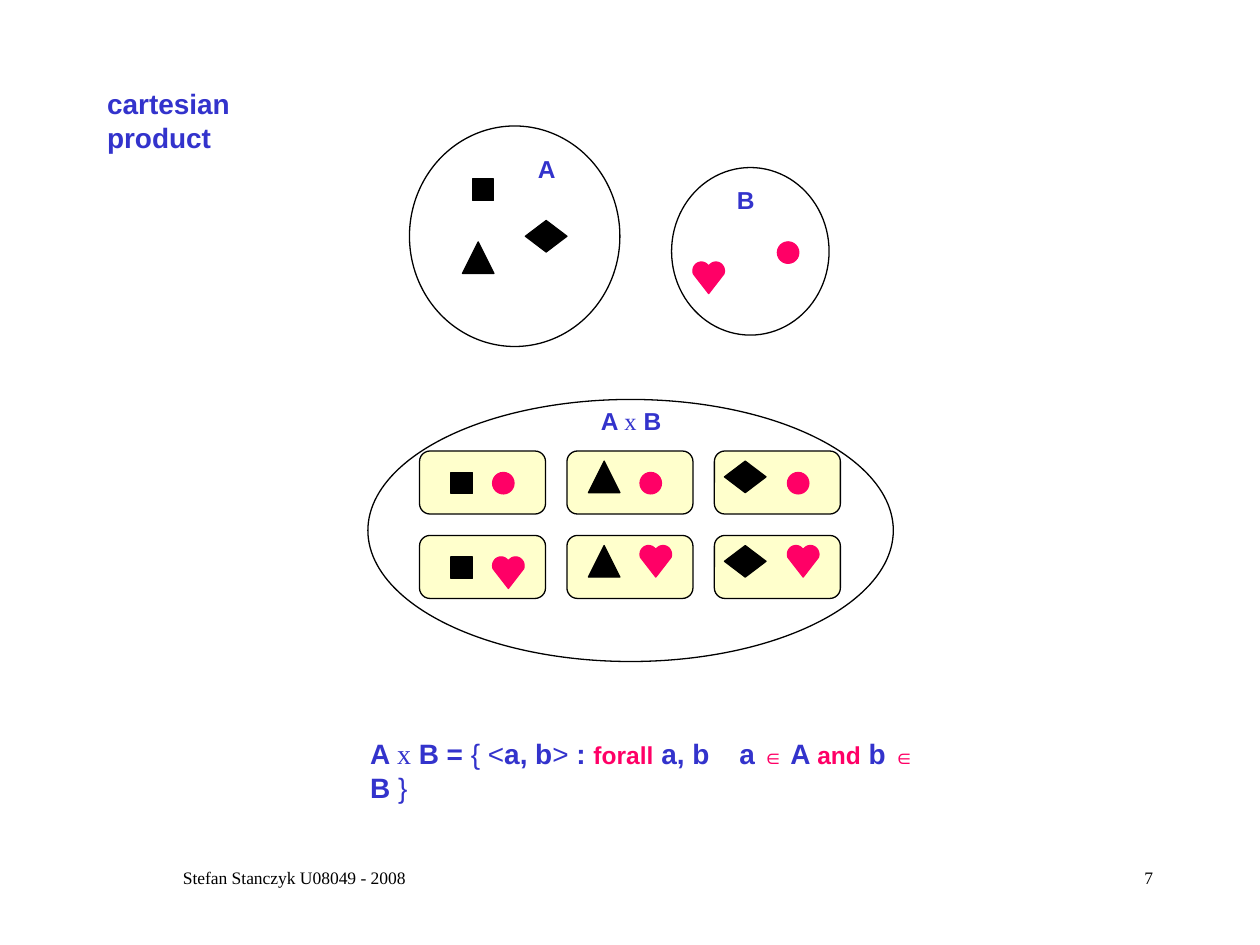
import math

from pptx import Presentation
from pptx.dml.color import RGBColor
from pptx.enum.shapes import MSO_SHAPE
from pptx.enum.text import MSO_ANCHOR, MSO_AUTO_SIZE, PP_ALIGN
from pptx.oxml.ns import qn
from pptx.util import Inches, Pt
from lxml import etree

TOP = MSO_ANCHOR.TOP
NO_FIT = MSO_AUTO_SIZE.NONE
LEFT, CENTER, RIGHT = PP_ALIGN.LEFT, PP_ALIGN.CENTER, PP_ALIGN.RIGHT
OVAL, ROUNDED = MSO_SHAPE.OVAL, MSO_SHAPE.ROUNDED_RECTANGLE

COLORS = {"black": "000000", "blue": "3333CC", "pink": "FF0066", "cream": "FFFFCC"}

# Symbol name: preset (None for the drawn heart), width, height, color
SYMBOLS = {
    "square": (MSO_SHAPE.RECTANGLE, 0.17, 0.17, "black"),
    "triangle": (MSO_SHAPE.ISOSCELES_TRIANGLE, 0.25, 0.25, "black"),
    "diamond": (MSO_SHAPE.DIAMOND, 0.33, 0.25, "black"),
    "circle": (OVAL, 0.17, 0.17, "pink"),
    "heart": (None, 0.25, 0.25, "pink"),
}

# Run formats
BOLD = {"name": "Arial", "size": Pt(16), "bold": True, "color": "blue"}
PLAIN = {**BOLD, "bold": False}
TIMES = {**PLAIN, "name": "Times New Roman"}
WORD = {**BOLD, "size": Pt(14), "color": "pink"}
MEMBER = {**WORD, "size": Pt(12)}
LABEL = {**BOLD, "size": Pt(14)}
LABEL_TIMES = {**TIMES, "size": Pt(14)}
FOOTER = {**TIMES, "size": Pt(10), "color": "black"}


def rgb(name):
    return RGBColor.from_string(COLORS[name])


def heart_outline():
    """Points of a heart in a unit square: two round lobes and a tip."""
    left = []
    for degrees in range(-20, 148, 8):
        angle = math.radians(degrees)
        left.append((0.27 - 0.27 * math.cos(angle), 0.28 - 0.28 * math.sin(angle)))
    return [(0.5, 1)] + left + [(1 - x, y) for x, y in reversed(left)]


class SlideBuilder:
    def __init__(self, slide):
        self.slide = slide
        self.line_width = Pt(0.75)

    def style(self, shape, fill, line):
        shape.shadow.inherit = False
        if fill:
            shape.fill.solid()
            shape.fill.fore_color.rgb = rgb(fill)
        else:
            shape.fill.background()
        shape.line.color.rgb = rgb(line)
        shape.line.width = self.line_width

    def preset(self, kind, x, y, width, height, fill=None, line="black"):
        shape = self.slide.shapes.add_shape(
            kind, Inches(x), Inches(y), Inches(width), Inches(height))
        self.style(shape, fill, line)

    def symbol(self, name, x, y):
        kind, width, height, color = SYMBOLS[name]
        if kind is not None:
            self.preset(kind, x, y, width, height, color, color)
            return
        points = [(Inches(x + width * px), Inches(y + height * py))
                  for px, py in heart_outline()]
        builder = self.slide.shapes.build_freeform(*points[0])
        builder.add_line_segments(points[1:], close=True)
        self.style(builder.convert_to_shape(), color, color)

    def fill_text(self, box, runs, align, wrap, tab=None):
        frame = box.text_frame
        frame.auto_size = NO_FIT
        frame.vertical_anchor = TOP
        frame.word_wrap = wrap
        para = frame.paragraphs[0]
        if tab:
            tabs = etree.SubElement(para._p.get_or_add_pPr(), qn("a:tabLst"))
            etree.SubElement(tabs, qn("a:tab"), pos=str(Inches(tab)), algn="l")
        para.alignment = align
        for text, values in runs:
            span = para.add_run()
            span.text = text
            for key, value in values.items():
                if key == "color":
                    span.font.color.rgb = rgb(value)
                else:
                    setattr(span.font, key, value)

    def text(self, x, y, width, height, runs, align=LEFT, wrap=False, tab=None):
        box = self.slide.shapes.add_textbox(
            Inches(x), Inches(y), Inches(width), Inches(height))
        self.fill_text(box, runs, align, wrap, tab)

    def title(self, x, y, width, height, text):
        box = self.slide.shapes.title
        box.left, box.top = Inches(x), Inches(y)
        box.width, box.height = Inches(width), Inches(height)
        self.fill_text(box, [(text, BOLD)], LEFT, False)


def main():
    deck = Presentation()
    deck.slide_width, deck.slide_height = Inches(10), Inches(7.5)
    page = SlideBuilder(deck.slides.add_slide(deck.slide_layouts[5]))

    page.title(0.75, 0.64, 2.06, 0.37, "cartesian product")

    # Set A
    page.symbol("square", 3.75, 1.42)
    page.symbol("triangle", 3.67, 1.92)
    page.symbol("diamond", 4.17, 1.75)
    page.preset(OVAL, 3.25, 1, 1.67, 1.75)
    page.text(4.17, 1.17, 0.34, 0.34, [("A", LABEL)])

    # Set B
    page.symbol("circle", 6.17, 1.92)
    page.symbol("heart", 5.5, 2.08)
    page.preset(OVAL, 5.33, 1.33, 1.25, 1.33)
    page.text(5.75, 1.42, 0.34, 0.34, [("B", LABEL)])

    # Product: one card for each pair; offsets are within the card
    first_members = [("square", 0.25, 0.17), ("triangle", 0.17, 0.08),
                     ("diamond", 0.08, 0.08)]
    for row, second in enumerate(["circle", "heart"]):
        for column, (first, dx, dy) in enumerate(first_members):
            x, y = 3.33 + 1.17 * column, 3.58 + 0.67 * row
            page.preset(ROUNDED, x, y, 1, 0.5, "cream")
            page.symbol(first, x + dx, y + dy)
            page.symbol(second, x + 0.58, y + (0.17 if second == "circle" else dy))
    page.preset(OVAL, 2.92, 3.17, 4.17, 2.08)
    page.text(4.67, 3.17, 0.69, 0.34,
              [("A ", LABEL), ("x", LABEL_TIMES), (" B", LABEL)])

    # Definition
    page.text(2.84, 5.8, 4.6, 0.62, [
        ("A ", BOLD), ("x", TIMES), (" B = ", BOLD), ("{ <", PLAIN),
        ("a, b", BOLD), (">", PLAIN), (" : ", BOLD), ("forall", WORD),
        (" a, b\ta ", BOLD), ("∈", MEMBER), (" A ", BOLD), ("and", WORD),
        (" b ", BOLD), ("∈", MEMBER), (" B ", BOLD), ("}", PLAIN),
    ], wrap=True, tab=2.93)

    # Footer
    page.text(0.75, 6.83, 3.17, 0.5,
              [("Stefan Stanczyk U08049 - 2008", FOOTER)], CENTER, True)
    page.text(7.17, 6.83, 2.08, 0.5, [("7", FOOTER)], RIGHT, True)

    deck.save("out.pptx")


if __name__ == "__main__":
    main()
